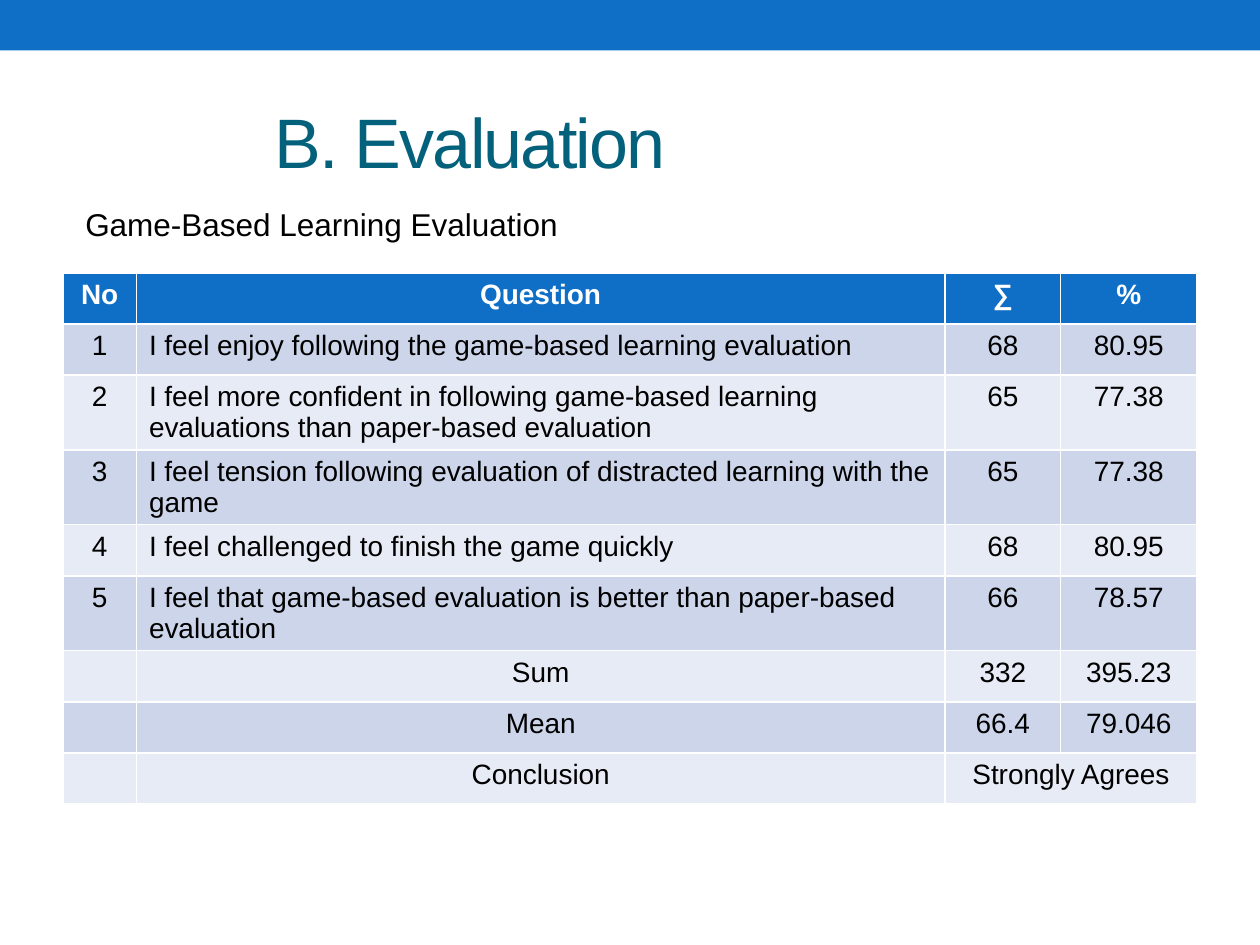
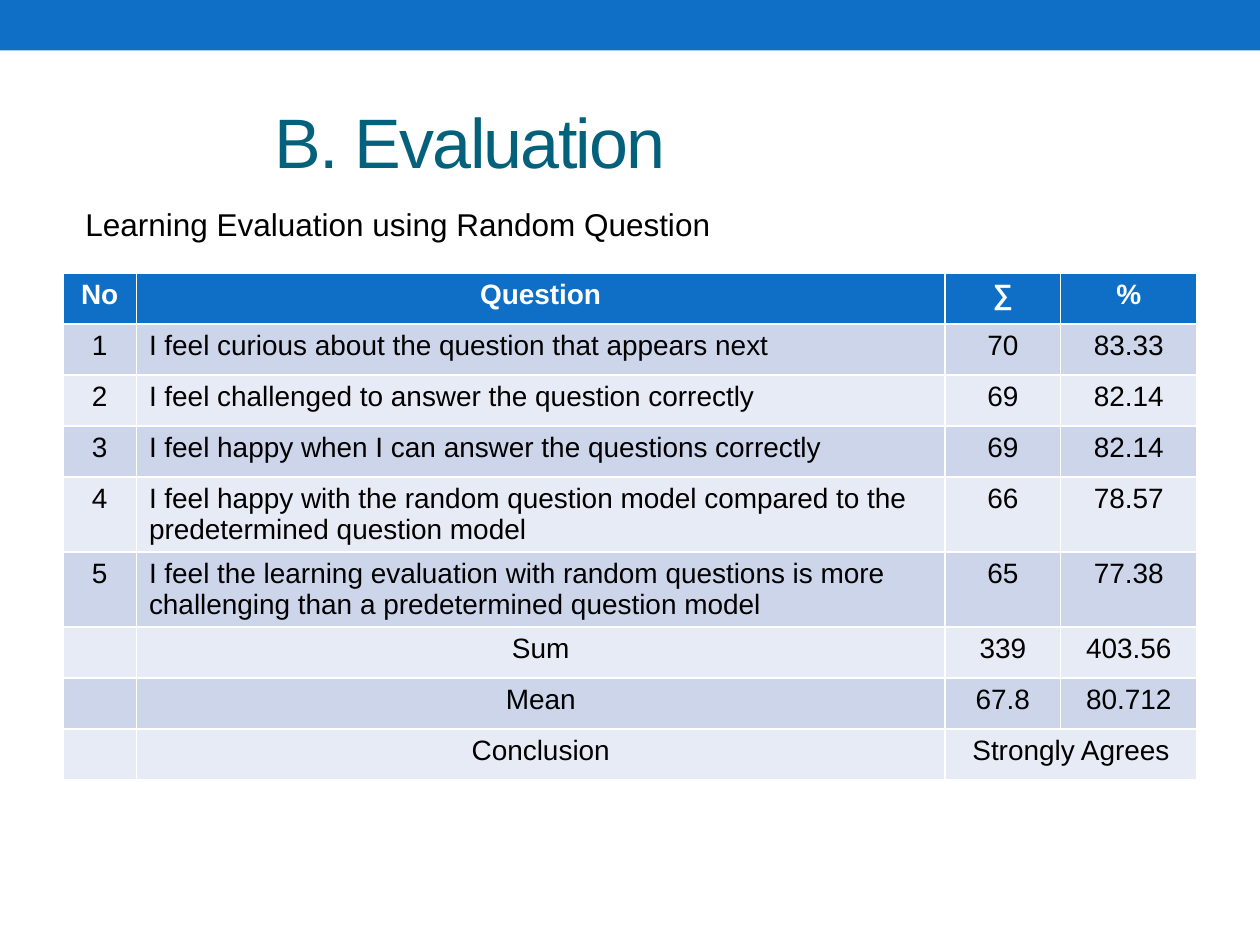
from pptx import Presentation
from pptx.dml.color import RGBColor
from pptx.enum.shapes import MSO_SHAPE as Shape
from pptx.enum.text import MSO_ANCHOR as Anchor, MSO_AUTO_SIZE as AutoSize, PP_ALIGN as Align
from pptx.util import Cm, Pt

BLUE = RGBColor(0x0F, 0x6F, 0xC6)
TEAL = RGBColor(0x04, 0x61, 0x7B)
WHITE = RGBColor(0xFF, 0xFF, 0xFF)
BLACK = RGBColor(0x00, 0x00, 0x00)
BANDS = [RGBColor(0xE7, 0xEB, 0xF5), RGBColor(0xCC, 0xD5, 0xEA)]

HEADER = ["No", "Question", "∑", "%"]
COLUMN_WIDTHS = [1.48, 16.3, 2.33, 2.75]
ROW_HEIGHT = 1.03

# Each evaluation: subtitle, questions with scores, then summary rows
EVALUATIONS = [
    ("Game-Based Learning Evaluation", [
        ["1", "I feel enjoy following the game-based learning evaluation", "68", "80.95"],
        ["2", "I feel more confident in following game-based learning evaluations "
              "than paper-based evaluation", "65", "77.38"],
        ["3", "I feel tension following evaluation of distracted learning with the game",
         "65", "77.38"],
        ["4", "I feel challenged to finish the game quickly", "68", "80.95"],
        ["5", "I feel that game-based evaluation is better than paper-based evaluation",
         "66", "78.57"],
        ["", "Sum", "332", "395.23"],
        ["", "Mean", "66.4", "79.046"],
        ["", "Conclusion", "Strongly Agrees", ""],
    ]),
    ("Learning Evaluation using Random Question", [
        ["1", "I feel curious about the question that appears next", "70", "83.33"],
        ["2", "I feel challenged to answer the question correctly", "69", "82.14"],
        ["3", "I feel happy when I can answer the questions correctly", "69", "82.14"],
        ["4", "I feel happy with the random question model compared to the "
              "predetermined question model", "66", "78.57"],
        ["5", "I feel the learning evaluation with random questions is more challenging "
              "than a predetermined question model", "65", "77.38"],
        ["", "Sum", "339", "403.56"],
        ["", "Mean", "67.8", "80.712"],
        ["", "Conclusion", "Strongly Agrees", ""],
    ]),
]


def write(frame, text, size=16, color=BLACK, bold=False, align=Align.LEFT, spacing=None):
    para = frame.paragraphs[0]
    para.alignment = align
    span = para.add_run()
    span.text = text
    span.font.name = "Arial"
    span.font.size = Pt(size)
    span.font.bold = bold
    span.font.color.rgb = color
    if spacing is not None:
        span._r.get_or_add_rPr().set("spc", str(spacing * 100))


deck = Presentation()
deck.slide_width, deck.slide_height = Cm(25.4), Cm(19.05)
layout = deck.slide_layouts[5]

# Shared title position
title = layout.placeholders[0]
title.left, title.top, title.width, title.height = Cm(5.28), Cm(1.47), Cm(18.85), Cm(2.74)

for number, (subtitle, rows) in enumerate(EVALUATIONS):
    page = deck.slides.add_slide(layout)

    # Top band, moved to the master so every slide shows it
    if number == 0:
        band = page.shapes.add_shape(Shape.RECTANGLE, 0, 0, deck.slide_width, Cm(1.02))
        band.shadow.inherit = False
        band.fill.solid()
        band.fill.fore_color.rgb = BLUE
        band.line.fill.background()
        band.element.nvSpPr.cNvPr.set("id", "20")
        deck.slide_master.element.cSld.spTree.insert(2, band.element)

    # Title
    frame = page.shapes.title.text_frame
    frame.vertical_anchor = Anchor.MIDDLE
    write(frame, "B. Evaluation", size=40, color=TEAL, spacing=-1)

    # Table of questions and scores
    cells = [HEADER] + rows
    table = page.shapes.add_table(
        len(cells), len(HEADER), Cm(1.27), Cm(5.5),
        Cm(sum(COLUMN_WIDTHS)), Cm(ROW_HEIGHT * len(cells))).table
    for column, width in zip(table.columns, COLUMN_WIDTHS):
        column.width = Cm(width)
    for r, row in enumerate(cells):
        for c, text in enumerate(row):
            cell = table.cell(r, c)
            cell.fill.solid()
            cell.fill.fore_color.rgb = BANDS[r % 2] if r else BLUE
            is_question = c == 1 and row[0].isdigit()
            if text:
                write(cell.text_frame, text, bold=r == 0, color=BLACK if r else WHITE,
                      align=Align.LEFT if is_question else Align.CENTER)
    last = len(cells) - 1
    table.cell(last, 2).merge(table.cell(last, 3))

    # Subtitle
    box = page.shapes.add_textbox(Cm(1.47), Cm(4.01), Cm(10.08 if number == 0 else 13.41), Cm(1.02))
    box.text_frame.word_wrap = False
    box.text_frame.auto_size = AutoSize.SHAPE_TO_FIT_TEXT
    write(box.text_frame, subtitle, size=18)

deck.save("out.pptx")
